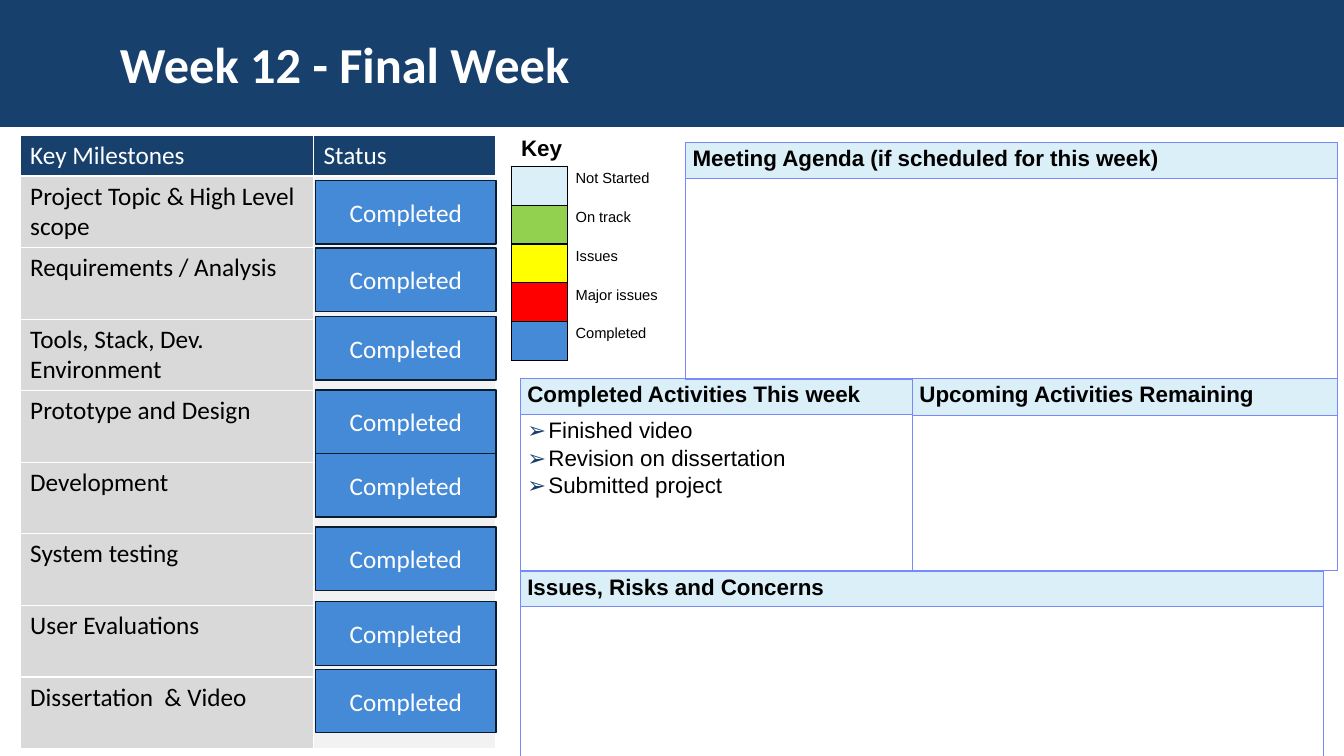
from lxml.etree import SubElement as Sub
from pptx import Presentation
from pptx.dml.color import RGBColor as Rgb
from pptx.enum.shapes import MSO_SHAPE as Kind
from pptx.enum.text import MSO_ANCHOR as Anchor, PP_ALIGN as Align
from pptx.oxml.ns import qn
from pptx.util import Inches, Pt

HUES = {"navy": "17406D", "white": "FFFFFF", "black": "000000", "grey": "D9D9D9",
        "pale": "F2F2F2", "ice": "DBEFF9", "green": "92D050", "yellow": "FFFF00",
        "red": "FF0000", "blue": "448AD7", "edge": "0A1C30", "rule": "7889FB"}
HEAD = {"name": "Arial", "size": Pt(16), "bold": True}
LIST = {**HEAD, "bold": False}
NOTE = {"name": "Arial", "size": Pt(10.5), "bold": False}
BODY = {"name": "Calibri", "size": Pt(18), "bold": False}
MAIN = {"name": "Calibri", "size": Pt(36), "bold": True}


class Deck:
    def __init__(self):
        self.prs = Presentation()
        self.prs.slide_width, self.prs.slide_height = Inches(13.33), Inches(7.5)
        self.slide = self.prs.slides.add_slide(self.prs.slide_layouts[5])
        self.shapes = self.slide.shapes

    def hue(self, name):
        return Rgb.from_string(HUES[name])

    def words(self, para, text, form, hue="black"):
        run = para.add_run()
        run.text = text
        for key, value in form.items():
            setattr(run.font, key, value)
        run.font.color.rgb = self.hue(hue)

    def title(self, text, box):
        shape = self.shapes.title
        shape.left, shape.top, shape.width, shape.height = map(Inches, box)
        shape.text_frame.vertical_anchor = Anchor.MIDDLE
        para = shape.text_frame.paragraphs[0]
        para.alignment = Align.LEFT
        self.words(para, text, MAIN, "white")

    def rect(self, box, fill, line=None, text=None):
        shape = self.shapes.add_shape(Kind.RECTANGLE, *map(Inches, box))
        shape.shadow.inherit = False
        shape.fill.solid()
        shape.fill.fore_color.rgb = self.hue(fill)
        if line:
            shape.line.color.rgb = self.hue(line)
            shape.line.width = Pt(1)
        else:
            shape.line.fill.background()
        if text:
            shape.text_frame.vertical_anchor = Anchor.MIDDLE
            para = shape.text_frame.paragraphs[0]
            para.alignment = Align.CENTER
            self.words(para, text, BODY, "white")
        return shape

    def label(self, text, box):
        frame = self.shapes.add_textbox(*map(Inches, box)).text_frame
        frame.word_wrap = True
        self.words(frame.paragraphs[0], text, HEAD)

    def table(self, left, top, cols, rows):
        box = map(Inches, (left, top, sum(cols), sum(rows)))
        grid = self.shapes.add_table(len(rows), len(cols), *box).table
        grid.first_row = grid.horz_banding = False
        for col, width in zip(grid.columns, cols):
            col.width = Inches(width)
        for row, height in zip(grid.rows, rows):
            row.height = Inches(height)
        return grid

    def cell(self, cell, fill=None, line="rule", width=0.71, sides="LRTB", pad=0.07):
        props = cell._tc.get_or_add_tcPr()
        for side in "LRTB":
            edge = Sub(props, qn("a:ln" + side), w=str(Pt(width)))
            if side in sides:
                Sub(Sub(edge, qn("a:solidFill")), qn("a:srgbClr"), val=HUES[line])
            else:
                Sub(edge, qn("a:noFill"))
        cell.margin_left = cell.margin_right = Inches(pad)
        cell.margin_top = cell.margin_bottom = Inches(0.05 if pad == 0.1 else 0.04)
        if fill:
            cell.fill.solid()
            cell.fill.fore_color.rgb = self.hue(fill)
        else:
            cell.fill.background()
        return cell.text_frame

    def bullet(self, para):
        props = para._p.get_or_add_pPr()
        props.set("marL", str(Inches(0.21)))
        props.set("indent", str(-Inches(0.21)))
        Sub(Sub(props, qn("a:buClr")), qn("a:srgbClr"), val=HUES["navy"])
        Sub(props, qn("a:buFont"), typeface="Arial")
        Sub(props, qn("a:buChar"), char="➢")

    def panel(self, head, left, top, width, rows, items=()):
        grid = self.table(left, top, [width], rows)
        frame = self.cell(grid.cell(0, 0), "ice")
        self.words(frame.paragraphs[0], head, HEAD)
        frame = self.cell(grid.cell(1, 0))
        for i, item in enumerate(items):
            para = frame.add_paragraph() if i else frame.paragraphs[0]
            self.bullet(para)
            para.space_after = Pt(2)
            self.words(para, item, LIST)

    def goals(self, names):
        grid = self.table(0.2, 1.34, [2.91, 1.81], [0.4] + [0.71] * len(names))
        rows = [("Key Milestones", "Status")] + [(name, "") for name in names]
        for r, row in enumerate(rows):
            fills = ("grey", "pale") if r else ("navy", "navy")
            for c, text in enumerate(row):
                frame = self.cell(grid.cell(r, c), fills[c], "white", 1, pad=0.1)
                if text:
                    self.words(frame.paragraphs[0], text, BODY, "black" if r else "white")

    def legend(self, marks):
        grid = self.table(5.07, 1.65, [0.56, 1.4], [0.375] * len(marks))
        for r, (name, fill) in enumerate(marks.items()):
            self.cell(grid.cell(r, 0), fill, "black", 1)
            frame = self.cell(grid.cell(r, 1), None, "black", 1, "L", 0.08)
            self.words(frame.paragraphs[0], name, NOTE)


def main():
    deck = Deck()
    band = deck.rect((0, 0, 13.33, 1.26), "navy")
    deck.title("Week 12 - Final Week", (1.09, 0.21, 10.96, 0.83))
    deck.shapes.title._element.addprevious(band._element)

    deck.goals(["Project Topic & High Level scope", "Requirements / Analysis",
                "Tools, Stack, Dev. Environment", "Prototype and Design",
                "Development", "System testing", "User Evaluations",
                "Dissertation  & Video"])
    deck.legend({"Not Started": "ice", "On track": "green", "Issues": "yellow",
                 "Major issues": "red", "Completed": "blue"})
    deck.label("Key", (5.07, 1.28, 1.5, 0.37))

    deck.panel("Completed Activities This week", 5.16, 3.75, 3.89, [0.36, 1.55],
               ["Finished video", "Revision on dissertation", "Submitted project"])
    deck.panel("Meeting Agenda (if scheduled for this week)", 6.8, 1.41, 6.46, [0.36, 1.99])
    deck.panel("Issues, Risks and Concerns", 5.16, 5.67, 7.97, [0.33, 1.51])
    deck.panel("Upcoming Activities Remaining", 9.05, 3.75, 4.21, [0.37, 1.54])

    for top in (1.79, 2.46, 3.14, 3.87, 4.5, 5.23, 5.97, 6.64):
        deck.rect((3.13, top, 1.79, 0.63), "blue", "edge", "Completed")

    deck.prs.save("out.pptx")


if __name__ == "__main__":
    main()
